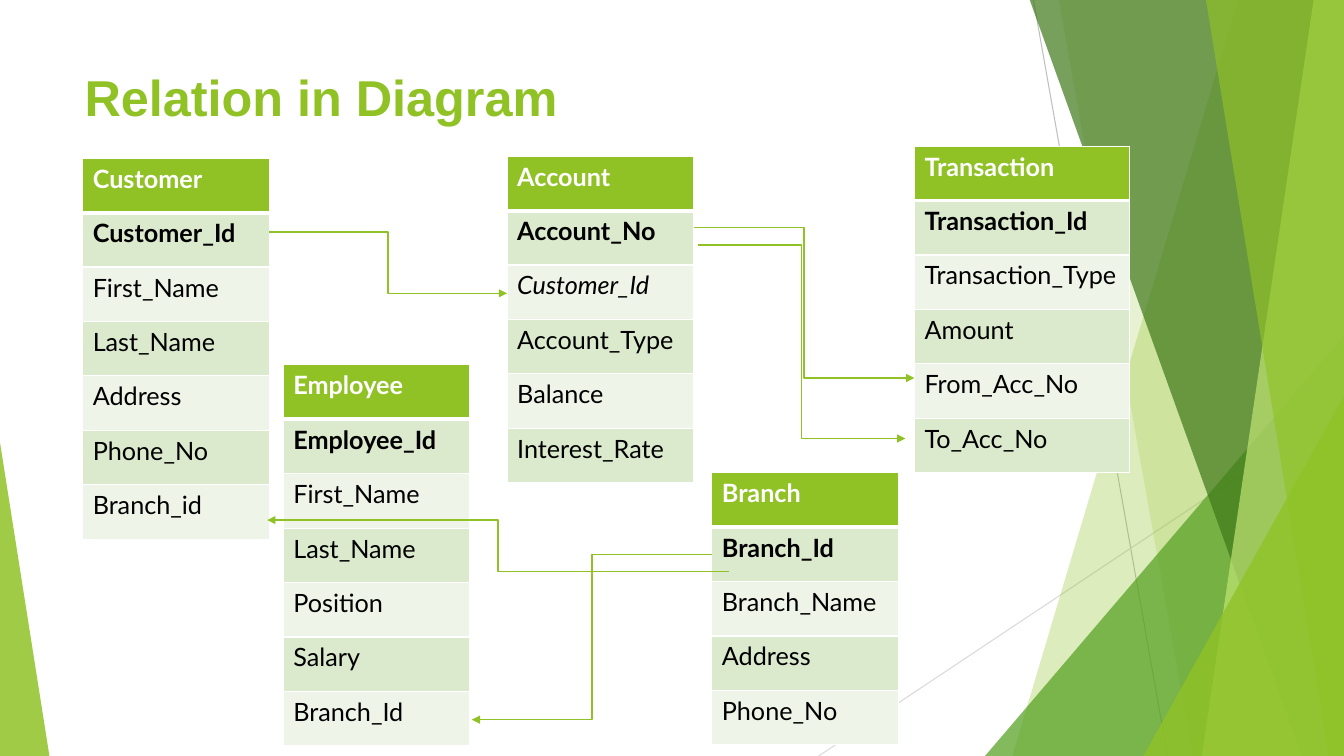
"""Build a slide that links five bank tables by their keys."""
from lxml import etree
from pptx import Presentation
from pptx import util as u
from pptx.dml.color import RGBColor
from pptx.enum import shapes, text
from pptx.oxml import ns

COLORS = {
    "lime": "90C226", "green": "54A021", "forest": "3F7819", "pale": "C0E474",
    "band": "DBE9CD", "light": "EEF4E8", "white": "FFFFFF", "black": "000000",
    "gray": "BFBFBF", "silver": "D9D9D9",
}
ROW_HEIGHT = 0.54


def rgb(color):
    return RGBColor.from_string(COLORS[color])


def write(frame, words, size=18, font="Lato", color="black", bold=False, italic=False):
    run = frame.paragraphs[0].add_run()
    run.text = words
    run.font.size = u.Pt(size)
    run.font.name = font
    run.font.color.rgb = rgb(color)
    run.font.bold = bold
    run.font.italic = italic


class Diagram:
    def __init__(self, slide):
        self.slide = slide
        self.shapes = slide.shapes

    def paint(self, shape, color, opacity):
        shape.shadow.inherit = False
        shape.fill.solid()
        shape.fill.fore_color.rgb = rgb(color)
        shape.line.fill.background()
        tint = shape.element.spPr.find(".//" + ns.qn("a:srgbClr"))
        etree.SubElement(tint, ns.qn("a:alpha"), val=str(opacity * 1000))

    def facet(self, points, color, opacity):
        corners = [(u.Inches(x), u.Inches(y)) for x, y in points]
        builder = self.shapes.build_freeform(*corners[0])
        builder.add_line_segments(corners[1:], close=True)
        self.paint(builder.convert_to_shape(), color, opacity)

    def triangle(self, box, apex, color, opacity):
        wedge = self.shapes.add_shape(
            shapes.MSO_SHAPE.ISOSCELES_TRIANGLE, *map(u.Inches, box))
        wedge.adjustments[0] = apex
        self.paint(wedge, color, opacity)

    def line(self, start, end, color, width, kind=shapes.MSO_CONNECTOR.STRAIGHT):
        link = self.shapes.add_connector(kind, *map(u.Inches, start + end))
        link.line.color.rgb = rgb(color)
        link.line.width = u.Pt(width)
        etree.SubElement(link.element.spPr, ns.qn("a:effectLst"))
        return link

    def relation(self, start, end):
        link = self.line(start, end, "lime", 1, shapes.MSO_CONNECTOR.ELBOW)
        outline = link.element.spPr.find(ns.qn("a:ln"))
        etree.SubElement(outline, ns.qn("a:tailEnd"), type="triangle")

    def title(self, words, box):
        heading = self.shapes.add_textbox(*map(u.Inches, box)).text_frame
        heading.word_wrap = True
        heading.vertical_anchor = text.MSO_ANCHOR.BOTTOM
        write(heading, words, size=36, font="Arial", color="lime", bold=True)

    def border(self, cell, widths):
        properties = cell._tc.get_or_add_tcPr()
        for index, (side, width) in enumerate(zip("LRTB", widths)):
            edge = etree.Element(ns.qn("a:ln" + side), w=str(u.Pt(width)))
            fill = etree.SubElement(edge, ns.qn("a:solidFill"))
            etree.SubElement(fill, ns.qn("a:srgbClr"), val=COLORS["white"])
            properties.insert(index, edge)

    def entity(self, name, fields, left, top, width=1.85, foreign=None):
        rows = [name] + fields
        table = self.shapes.add_table(
            len(rows), 1, u.Inches(left), u.Inches(top),
            u.Inches(width), u.Inches(ROW_HEIGHT * len(rows))).table
        table.first_row = table.horz_banding = False
        for index, words in enumerate(rows):
            table.rows[index].height = u.Inches(ROW_HEIGHT)
            cell = table.cell(index, 0)
            header = index == 0
            cell.fill.solid()
            cell.fill.fore_color.rgb = rgb(
                "lime" if header else "band" if index % 2 else "light")
            self.border(cell, (1, 1, 3 if index == 1 else 1, 3 if header else 1))
            write(cell.text_frame, words, color="white" if header else "black",
                  bold=index < 2, italic=words == foreign)


def main():
    deck = Presentation()
    deck.slide_width, deck.slide_height = u.Inches(13.33), u.Inches(7.5)
    diagram = Diagram(deck.slides.add_slide(deck.slide_layouts[6]))

    diagram.line((10.25, 0), (11.58, 7.5), "gray", 0.75)
    diagram.line((13.33, 4.03), (8.12, 7.5), "silver", 0.75)

    def band(top_left, bottom_left, color, opacity):
        diagram.facet([(top_left, -0.01), (13.33, -0.01), (13.33, 7.5),
                       (bottom_left, 7.5)], color, opacity)

    band(12.28, 10.04, "lime", 30)
    band(10.5, 11.83, "lime", 20)
    diagram.triangle((9.77, 3.33, 3.56, 4.17), 1, "green", 72)
    band(10.21, 12.91, "forest", 70)
    band(13.03, 11.92, "pale", 70)
    band(11.96, 13.18, "lime", 65)
    diagram.triangle((11.34, 3.93, 1.99, 3.57), 1, "lime", 80)
    diagram.triangle((0, 4.39, 0.49, 3.11), 0, "lime", 85)

    diagram.title("Relation in Diagram", (0.74, 0.6, 9.4, 0.71))

    diagram.entity("Customer", ["Customer_Id", "First_Name", "Last_Name", "Address",
                                "Phone_No", "Branch_id"], 0.82, 1.57)
    diagram.entity("Transaction", ["Transaction_Id", "Transaction_Type", "Amount",
                                   "From_Acc_No", "To_Acc_No"], 9.07, 1.45, width=2.13)
    diagram.entity("Account", ["Account_No", "Customer_Id", "Account_Type", "Balance",
                               "Interest_Rate"], 5.03, 1.55, foreign="Customer_Id")
    diagram.entity("Branch", ["Branch_Id", "Branch_Name", "Address", "Phone_No"],
                   7.06, 4.69)
    diagram.entity("Employee", ["Employee_Id", "First_Name", "Last_Name", "Position",
                                "Salary", "Branch_Id"], 2.81, 3.62)

    for start, end in [
        ((2.67, 2.3), (5.03, 2.91)),
        ((6.88, 2.26), (9.07, 3.75)),
        ((6.92, 2.43), (8.98, 4.35)),
        ((7.06, 5.5), (4.68, 7.14)),
        ((7.23, 5.67), (2.65, 5.16)),
    ]:
        diagram.relation(start, end)

    deck.save("out.pptx")


main()
